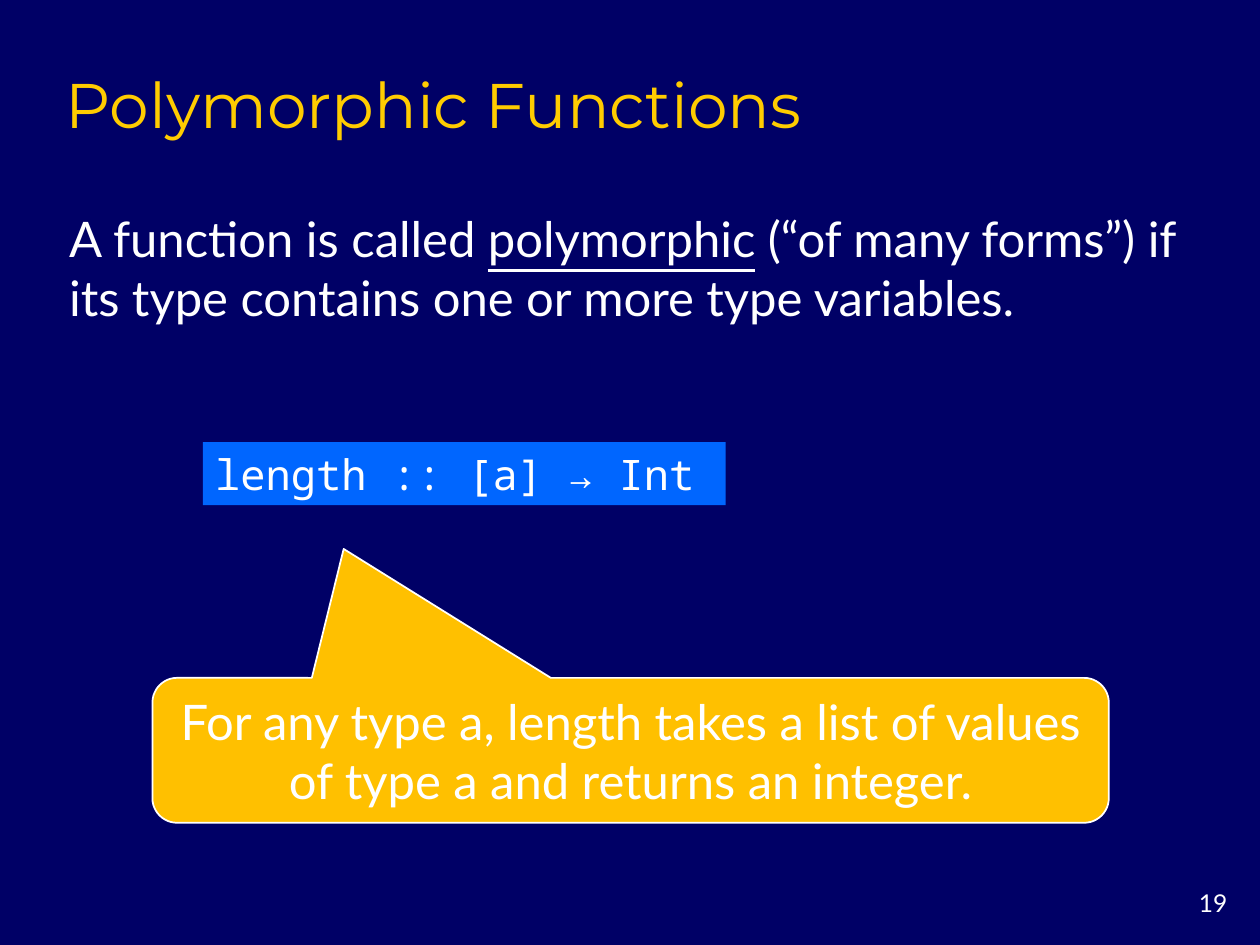
from pptx import Presentation
from pptx.dml.color import RGBColor
from pptx.enum import shapes, text
from pptx.util import Inches, Pt


def tint(code):
    """Turn a hex string into a colour."""
    return RGBColor.from_string(code)


class Deck:
    """Holds the style and the current slide."""

    back, white, gold = "000066", "FFFFFF", "FFCC00"
    blue, amber = "0066FF", "FFC000"
    sans, head, mono = "Lato", "Montserrat", "Noto Sans Mono"

    def __init__(self):
        """Start a 4:3 deck with one dark slide."""
        self.prs = Presentation()
        self.prs.slide_width, self.prs.slide_height = Inches(10), Inches(7.5)
        self.slide = self.prs.slides.add_slide(self.prs.slide_layouts[5])
        fill = self.slide.background.fill
        fill.solid()
        fill.fore_color.rgb = tint(self.back)

    def put(self, shape, runs, size, font=sans, color=white,
            align=text.PP_ALIGN.LEFT, anchor=text.MSO_ANCHOR.MIDDLE):
        """Put (words, underline) runs into a shape."""
        frame = shape.text_frame
        frame.word_wrap = True
        frame.auto_size = text.MSO_AUTO_SIZE.NONE
        frame.vertical_anchor = anchor
        para = frame.paragraphs[0]
        para.alignment = align
        for words, under in runs:
            run = para.add_run()
            run.text = words
            run.font.size, run.font.name = Pt(size), font
            run.font.color.rgb = tint(color)
            run.font.underline = under

    def title(self, words, box):
        """Place and fill the title."""
        shape = self.slide.shapes.title
        shape.left, shape.top, shape.width, shape.height = map(Inches, box)
        self.put(shape, [(words, False)], 36, self.head, self.gold,
                 anchor=text.MSO_ANCHOR.BOTTOM)

    def label(self, runs, box, size, **style):
        """Add a text box."""
        shape = self.slide.shapes.add_textbox(*map(Inches, box))
        self.put(shape, runs, size, **style)

    def block(self, kind, words, box, size, fill, line=None, adjust=(), **style):
        """Add a filled shape with text."""
        shape = self.slide.shapes.add_shape(kind, *map(Inches, box))
        shape.shadow.inherit = False
        shape.fill.solid()
        shape.fill.fore_color.rgb = tint(fill)
        if line:
            shape.line.color.rgb = tint(line)
            shape.line.width = Pt(1)
        else:
            shape.line.fill.background()
        for spot, value in enumerate(adjust):
            shape.adjustments[spot] = value
        self.put(shape, [(words, False)], size, **style)


def main():
    """Build and save the slide."""
    deck = Deck()
    kinds, sides = shapes.MSO_SHAPE, text.PP_ALIGN
    deck.label([("19", False)], (9.17, 7, 0.67, 0.33), 14,
               align=sides.RIGHT, anchor=text.MSO_ANCHOR.TOP)
    deck.title("Polymorphic Functions", (0.42, 0.42, 8.5, 0.75))
    deck.label([("A function is called ", False), ("polymorphic", True),
                (" (“of many forms”) if its type contains one or more "
                 "type variables.", False)], (0.45, 1.61, 9.14, 1.03), 28)
    deck.block(kinds.RECTANGLE, "length :: [a] → Int", (1.61, 3.51, 4.15, 0.5),
               24, deck.blue, font=deck.mono)
    deck.block(kinds.ROUNDED_RECTANGULAR_CALLOUT,
               "For any type a, length takes a list of values of type a "
               "and returns an integer.", (1.21, 5.38, 7.59, 1.15), 28,
               deck.amber, deck.white, (-0.3, -1.39, 0.17), align=sides.CENTER)
    deck.prs.save("out.pptx")


if __name__ == "__main__":
    main()
